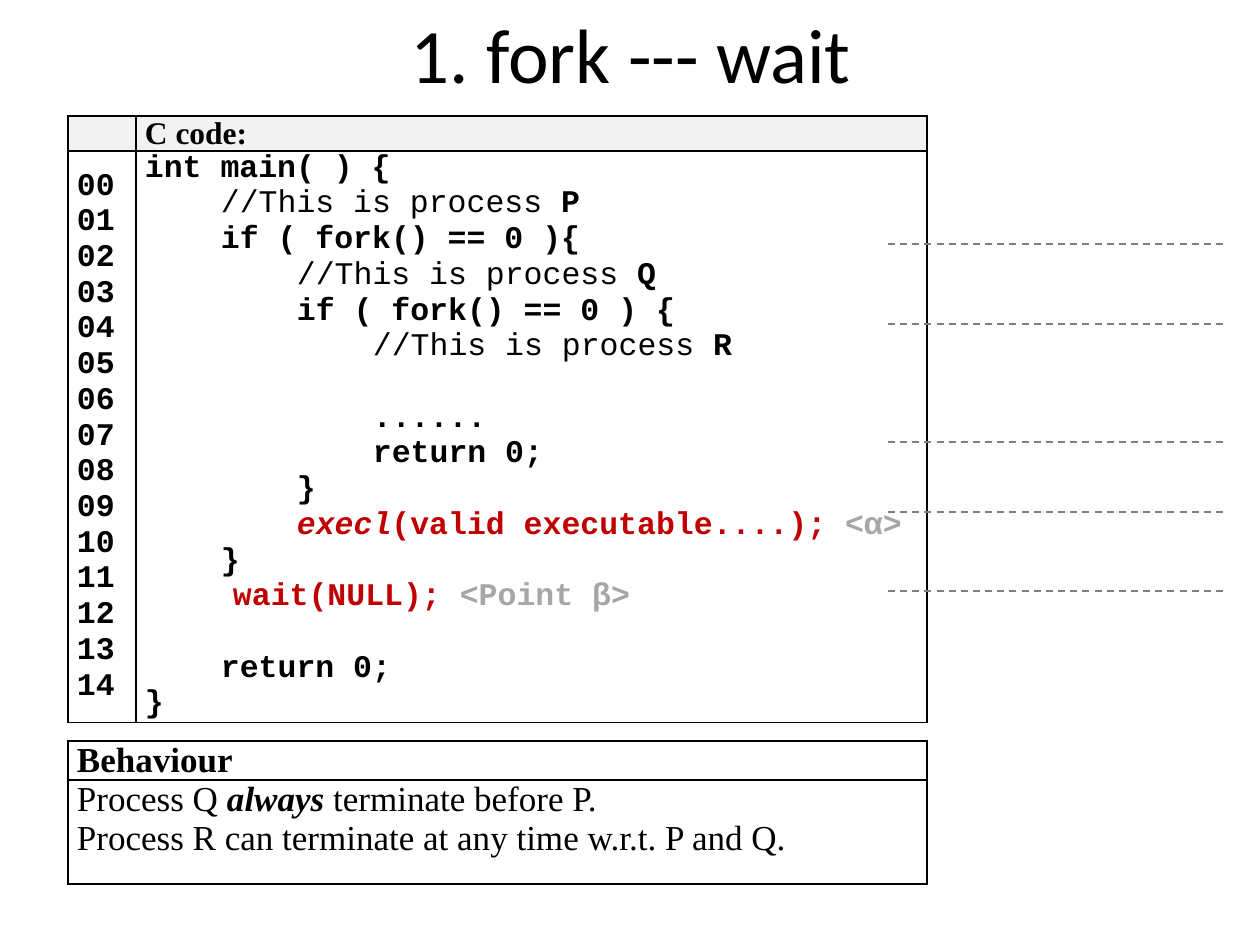
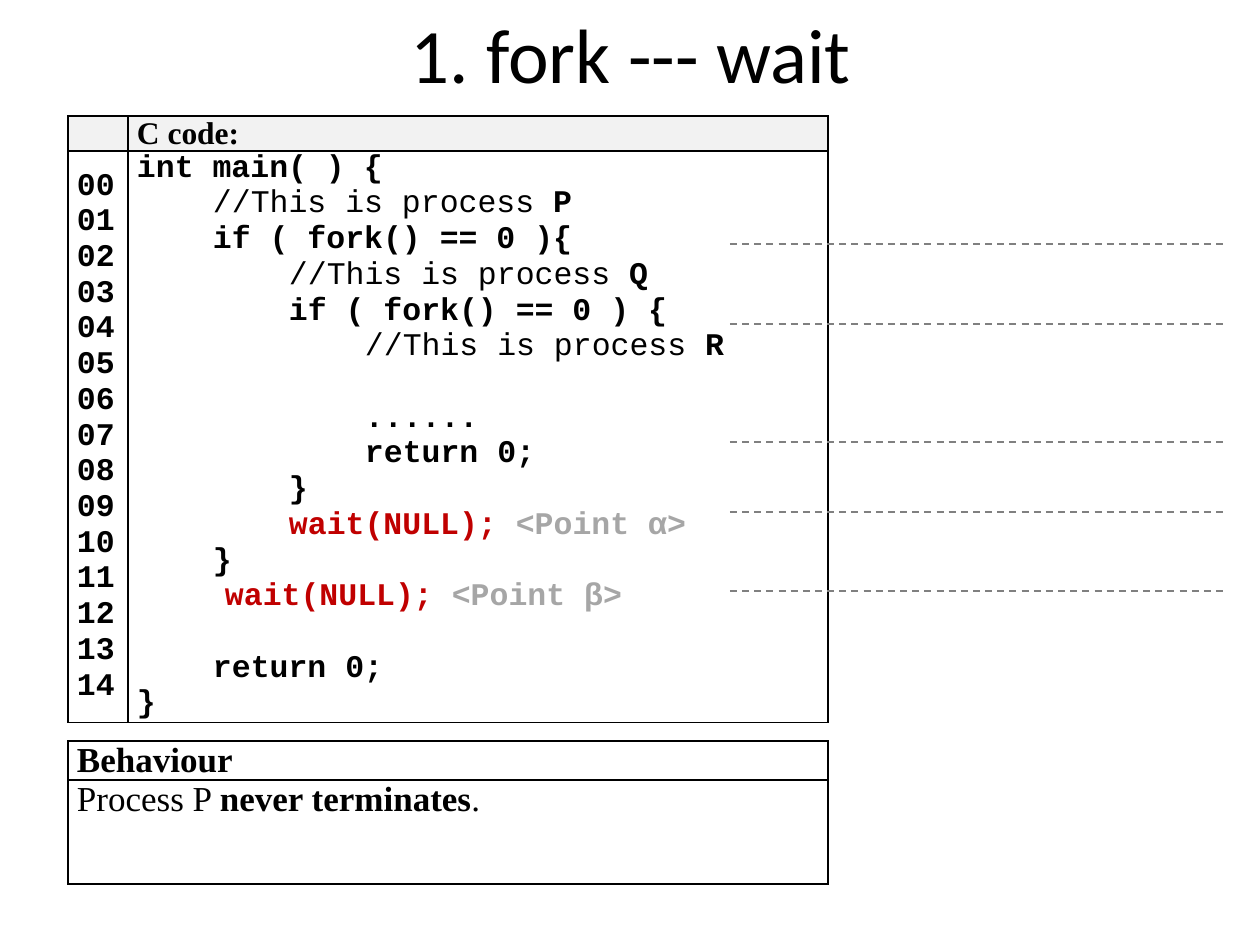
from collections import namedtuple

from lxml.etree import SubElement
from pptx import Presentation
from pptx.dml.color import RGBColor
from pptx.enum.dml import MSO_LINE
from pptx.enum.shapes import MSO_CONNECTOR
from pptx.enum.text import MSO_ANCHOR, PP_ALIGN
from pptx.oxml.ns import qn
from pptx.util import Pt

BLACK = RGBColor(0x00, 0x00, 0x00)
RED = RGBColor(0xC0, 0x00, 0x00)
PALE_GREY = RGBColor(0xA6, 0xA6, 0xA6)
RULE_GREY = RGBColor(0x80, 0x80, 0x80)
HEADER_FILL = RGBColor(0xF2, 0xF2, 0xF2)

HEADING, CODE, PROSE = "Calibri", "Courier New", "Times New Roman"
CODE_SIZE, PROSE_SIZE = 18, 20
BLANK_LINE = Pt(20.4)
INDENT = 76  # four code characters
CELL_INSET = 9

Box = namedtuple("Box", "left top width height")
Style = namedtuple("Style", "bold italic colour")
Line = namedtuple("Line", "indent spans gap", defaults=[False])

PLAIN = Style(False, False, BLACK)
BOLD = Style(True, False, BLACK)
BOLD_ITALIC = Style(True, True, BLACK)
CALL = Style(True, False, RED)
CALL_ITALIC = Style(True, True, RED)
POINT = Style(True, False, PALE_GREY)

PAGE = Box(0, 0, 1260, 945)
TITLE_BOX = Box(64, 0, 1134, 106)
TABLE_LEFT = 68
CODE_TOP, CODE_ROWS = 116, [34, 571]
BEHAVIOUR_TOP, BEHAVIOUR_ROWS = 741, [39, 104]
RULE_TOPS = [244, 324, 442, 512, 591]
RULE_RIGHT = 1225


def px(length):
    return round(length * 914400 / 126)


def place(shape, box):
    shape.left, shape.top, shape.width, shape.height = map(px, box)


def add_span(para, text, style, font, size):
    span = para.add_run()
    span.text = text
    span.font.name, span.font.size = font, Pt(size)
    span.font.bold, span.font.italic = style.bold, style.italic
    span.font.color.rgb = style.colour


def write_lines(cell, lines, font, size):
    """Write one paragraph for each line, with its indent and gap above."""
    frame = cell.text_frame
    for index, line in enumerate(lines):
        para = frame.add_paragraph() if index else frame.paragraphs[0]
        if line.indent:
            para._p.get_or_add_pPr().set("marL", str(px(line.indent)))
        if line.gap:
            para.space_before = BLANK_LINE
        for text, style in line.spans:
            add_span(para, text, style, font, size)


def write_header(cell, text, size):
    write_lines(cell, [Line(0, [(text, BOLD)])], PROSE, size)
    cell.text_frame.paragraphs[0].alignment = PP_ALIGN.JUSTIFY


def write_numbers(cell, count):
    para = cell.text_frame.paragraphs[0]
    for number in range(count):
        if number:
            para.add_line_break()
            para._p[-1].get_or_add_rPr().set("sz", str(CODE_SIZE * 100))
        add_span(para, f"{number:02d}", BOLD, CODE, CODE_SIZE)


def format_cell(cell, anchor):
    cell.margin_left = cell.margin_right = px(CELL_INSET)
    cell.margin_top = cell.margin_bottom = 0
    cell.vertical_anchor = anchor
    properties = cell._tc.get_or_add_tcPr()
    for side in ("a:lnL", "a:lnR", "a:lnT", "a:lnB"):
        border = SubElement(properties, qn(side), w=str(Pt(1)))
        fill = SubElement(border, qn("a:solidFill"))
        SubElement(fill, qn("a:srgbClr"), val=str(BLACK))
    cell.fill.background()


def add_grid(page, left, top, widths, heights, anchor):
    """Add a plain table with thin black borders."""
    box = Box(left, top, sum(widths), sum(heights))
    grid = page.shapes.add_table(len(heights), len(widths), *map(px, box)).table
    grid.first_row = grid.horz_banding = False
    for column, width in zip(grid.columns, widths):
        column.width = px(width)
    for row, height in zip(grid.rows, heights):
        row.height = px(height)
    for cell in grid.iter_cells():
        format_cell(cell, anchor)
    return grid


def add_title(page, text):
    title = page.shapes.title
    place(title, TITLE_BOX)
    frame = title.text_frame
    frame.vertical_anchor = MSO_ANCHOR.MIDDLE
    para = frame.paragraphs[0]
    para.alignment = PP_ALIGN.CENTER
    add_span(para, text, PLAIN, HEADING, 44)


def add_code_table(page, widths, lines):
    grid = add_grid(page, TABLE_LEFT, CODE_TOP, widths, CODE_ROWS, MSO_ANCHOR.MIDDLE)
    for column in range(2):
        header = grid.cell(0, column)
        header.fill.solid()
        header.fill.fore_color.rgb = HEADER_FILL
    corner = grid.cell(0, 0).text_frame.paragraphs[0]
    SubElement(corner._p, qn("a:endParaRPr"), sz=str(CODE_SIZE * 50))
    write_header(grid.cell(0, 1), "C code:", CODE_SIZE)
    write_numbers(grid.cell(1, 0), 15)
    write_lines(grid.cell(1, 1), lines, CODE, CODE_SIZE)


def add_behaviour_table(page, width, lines):
    grid = add_grid(page, TABLE_LEFT, BEHAVIOUR_TOP, [width], BEHAVIOUR_ROWS,
                    MSO_ANCHOR.TOP)
    write_header(grid.cell(0, 0), "Behaviour", PROSE_SIZE)
    write_lines(grid.cell(1, 0), lines, PROSE, PROSE_SIZE)


def add_rules(page, left):
    group = page.shapes.add_group_shape()
    for top in RULE_TOPS:
        ends = map(px, (left, top, RULE_RIGHT, top))
        rule = group.shapes.add_connector(MSO_CONNECTOR.STRAIGHT, *ends)
        rule.line.color.rgb = RULE_GREY
        rule.line.width = Pt(1)
        rule.line.dash_style = MSO_LINE.DASH
        SubElement(rule._element.spPr, qn("a:effectLst"))


def code_lines(child_call):
    """List the program, with child_call as the last statement of process Q."""
    def comment(depth, process):
        spans = [("//This is process ", PLAIN), (process, BOLD)]
        return Line(depth * INDENT, spans)

    def code(depth, text, gap=False):
        return Line(depth * INDENT, [(text, BOLD)], gap)

    return [
        code(0, "int main( ) {"),
        comment(1, "P"),
        code(1, "if ( fork() == 0 ){"),
        comment(2, "Q"),
        code(2, "if ( fork() == 0 ) {"),
        comment(3, "R"),
        code(3, "......", gap=True),
        code(3, "return 0;"),
        code(2, "}"),
        Line(2 * INDENT, child_call),
        code(1, "}"),
        Line(88, [("wait(NULL); ", CALL), ("<Point β>", POINT)]),
        code(1, "return 0;", gap=True),
        code(0, "}"),
    ]


def add_fork_page(deck, widths, child_call, behaviour, rule_left):
    page = deck.slides.add_slide(deck.slide_layouts[5])
    add_title(page, "1. fork --- wait")
    add_code_table(page, widths, code_lines(child_call))
    add_behaviour_table(page, sum(widths), behaviour)
    add_rules(page, rule_left)


def main():
    deck = Presentation()
    deck.slide_width, deck.slide_height = px(PAGE.width), px(PAGE.height)
    add_fork_page(
        deck, [68, 791],
        [("execl", CALL_ITALIC), ("(valid executable....); ", CALL), ("<α>", POINT)],
        [Line(0, [("Process Q ", PLAIN), ("always", BOLD_ITALIC),
                  (" terminate before P.", PLAIN)]),
         Line(0, [("Process R can terminate at any time w.r.t. P and Q.", PLAIN)])],
        888)
    add_fork_page(
        deck, [60, 700],
        [("wait(NULL); ", CALL), ("<Point α>", POINT)],
        [Line(0, [("Process P ", PLAIN), ("never terminates", BOLD), (".", PLAIN)])],
        730)
    deck.save("out.pptx")


if __name__ == "__main__":
    main()
